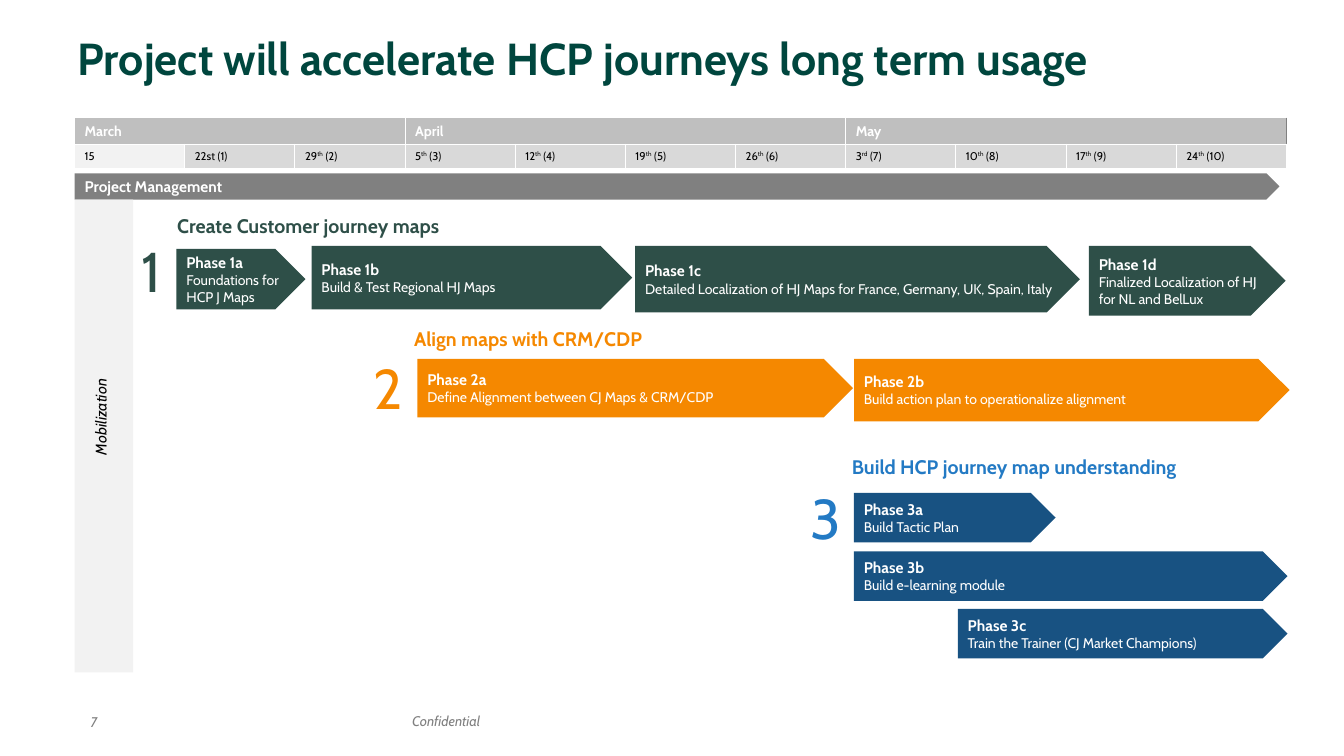
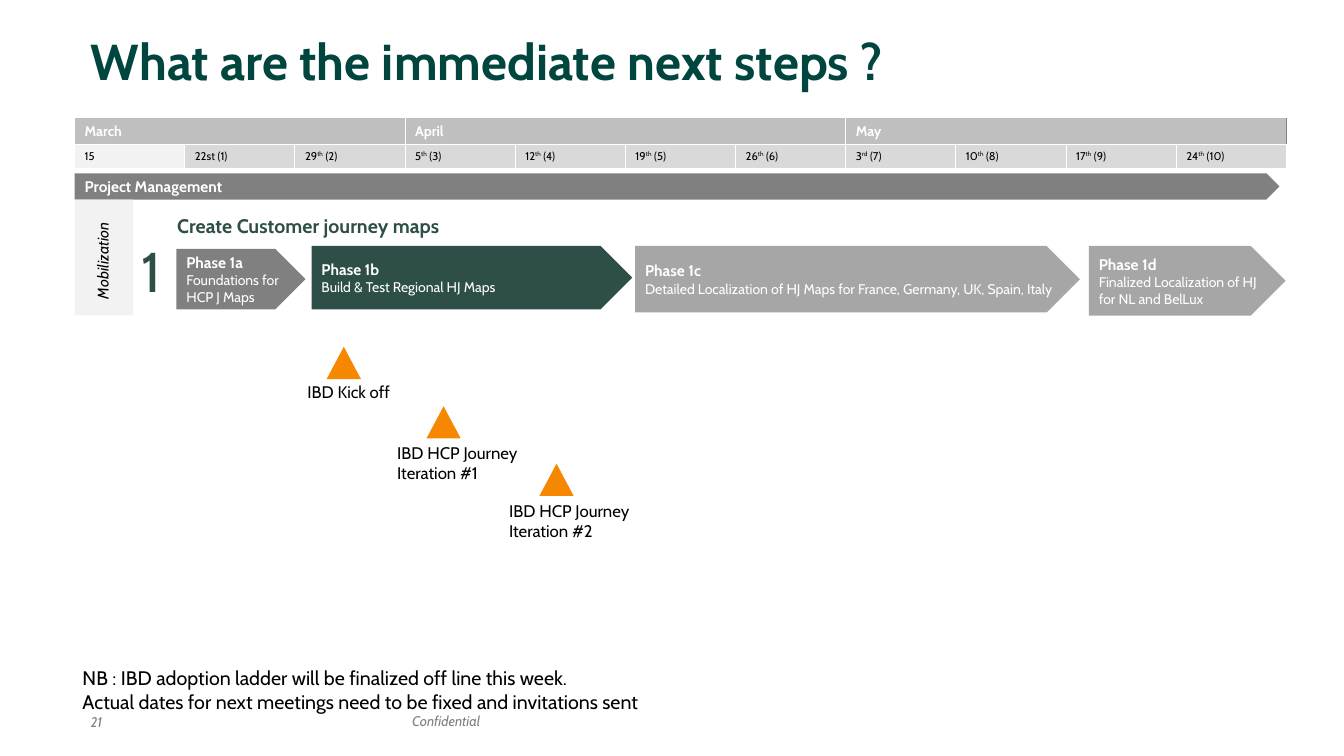
import pptx
import pptx.util
import pptx.dml.color
import pptx.enum.shapes
import pptx.enum.text
import pptx.oxml
import pptx.oxml.ns

# Lengths are px, 100 to the inch
PX = 9144
SLIDE_W, SLIDE_H = 1333, 750
FONT = "Cabin"
COLORS = {
    "title": "00463E", "green": "2E4F48", "orange": "F58800", "blue": "237AC4",
    "navy": "185282", "grey": "808080", "later": "A6A6A6", "month": "BFBFBF",
    "week": "D9D9D9", "pale": "F2F2F2", "white": "FFFFFF", "black": "000000",
}

# Text styles
STYLES = {
    "bar_title": dict(size=11, bold=True, color="white"),
    "bar_text": dict(size=10, color="white"),
    "month": dict(size=10, bold=True, color="white"),
    "week": dict(size=8, color="black"),
    "footer": dict(size=10, italic=True, color="grey"),
    "side": dict(size=11, italic=True, color="black"),
    "milestone": dict(size=12, color="black"),
    "note": dict(size=14, color="black"),
}

# Shared content
MONTHS = [("March", 3), ("April", 4), ("May", 4)]
WEEKS = [
    ("15",), ("22st (1)",), ("29", "th", " (2)"), ("5", "th", " (3)"),
    ("12", "th", " (4)"), ("19", "th", " (5)"), ("26", "th", " (6)"),
    ("3", "rd", " (7)"), ("10", "th", " (8)"), ("17", "th", " (9)"),
    ("24", "th", " (10)"),
]
TABLE_BOX = (74, 117, 1202, 50)
ROW_HEIGHTS = (26, 24)
MANAGEMENT_BOX = (74, 172, 1195, 26)
SIDE_X, SIDE_Y, SIDE_W = 74, 198, 58

# Work streams: bars are (name, text, box)
JOURNEY_MAPS = dict(
    number="1", title="Create Customer journey maps", color="green", fill="green",
    number_at=(131, 230), title_at=(166, 207),
    bars=[
        ("Phase 1a", "Foundations for HCP J Maps", (175, 247, 128, 60)),
        ("Phase 1b", "Build & Test Regional HJ Maps", (309, 244, 318, 63)),
        ("Phase 1c", "Detailed Localization of HJ Maps for France, Germany, UK, Spain, Italy",
         (630, 244, 441, 66)),
        ("Phase 1d", "Finalized Localization of HJ for NL and BelLux", (1080, 244, 195, 69)),
    ])
ALIGNMENT = dict(
    number="2", title="Align maps with CRM/CDP", color="orange", fill="orange",
    number_at=(361, 346), title_at=(401, 319),
    bars=[
        ("Phase 2a", "Define Alignment between CJ Maps & CRM/CDP", (414, 356, 432, 58)),
        ("Phase 2b", "Build action plan to operationalize alignment", (847, 356, 432, 62)),
    ])
UNDERSTANDING = dict(
    number="3", title="Build HCP journey map understanding", color="blue", fill="navy",
    number_at=(794, 475), title_at=(835, 446),
    bars=[
        ("Phase 3a", "Build Tactic Plan", (847, 489, 200, 49)),
        ("Phase 3b", "Build e-learning module", (847, 547, 430, 49)),
        ("Phase 3c", "Train the Trainer (CJ Market Champions)", (950, 604, 327, 49)),
    ])

SLIDES = [
    dict(title="Project will accelerate HCP journeys long term usage", title_size=32,
         title_box=(67, 28, 1252, 142), page="7", side_h=469, side_label=(50, 397),
         streams=[JOURNEY_MAPS, ALIGNMENT, UNDERSTANDING]),
    dict(title="What are the immediate next steps ?", title_size=36,
         title_box=(80, 28, 1182, 142), page="21", side_h=115, side_label=(52, 242),
         streams=[JOURNEY_MAPS],
         fills={"Phase 1a": "grey", "Phase 1c": "later", "Phase 1d": "later"},
         # Milestones: triangle corner, label box, label lines
         milestones=[
             ((324, 344), (295, 374, 108, 30), ["IBD Kick off"]),
             ((423, 403), (384, 434, 148, 50), ["IBD HCP Journey", "Iteration #1"]),
             ((535, 460), (495, 492, 148, 50), ["IBD HCP Journey", "Iteration #2"]),
         ],
         note=["NB : IBD adoption ladder will be finalized off line this week.",
               "Actual dates for next meetings need to be fixed and invitations sent"]),
]

SHAPE = pptx.enum.shapes.MSO_SHAPE
ANCHOR = pptx.enum.text.MSO_ANCHOR
LEFT = pptx.enum.text.PP_ALIGN.LEFT


def rgb(name):
    return pptx.dml.color.RGBColor.from_string(COLORS[name])


def emu(box):
    return [v * PX for v in box]


def add_run(p, text, style):
    r = p.add_run()
    r.text = text
    values = dict(name=FONT, size=pptx.util.Pt(style["size"]),
                  bold=style.get("bold", False), italic=style.get("italic", False))
    for key, value in values.items():
        setattr(r.font, key, value)
    r.font.color.rgb = rgb(style["color"])
    return r


def write(tf, lines, anchor=ANCHOR.TOP, **margins):
    """Fill a text frame with (text, style) lines."""
    tf.word_wrap = True
    tf.vertical_anchor = anchor
    for side, value in margins.items():
        setattr(tf, "margin_" + side, value * PX)
    for i, (text, style) in enumerate(lines):
        p = tf.add_paragraph() if i else tf.paragraphs[0]
        p.alignment = LEFT
        add_run(p, text, style)


def add_text(s, box, lines, style):
    sp = s.shapes.add_textbox(*emu(box))
    write(sp.text_frame, [(line, style) for line in lines])
    return sp


def add_shape(s, kind, box, fill):
    sp = s.shapes.add_shape(kind, *emu(box))
    sp.shadow.inherit = False
    sp.fill.solid()
    sp.fill.fore_color.rgb = rgb(fill)
    sp.line.fill.background()
    return sp


def add_bar(s, box, fill, name, text=None):
    sp = add_shape(s, SHAPE.PENTAGON, box, fill)
    lines = [(name, STYLES["bar_title"])]
    if text:
        lines.append((text, STYLES["bar_text"]))
    write(sp.text_frame, lines, ANCHOR.MIDDLE, left=10, right=5, top=0, bottom=0)


def set_border(cell, side, color, width):
    xml = ('<a:ln%s %s w="%d"><a:solidFill><a:srgbClr val="%s"/></a:solidFill></a:ln%s>'
           % (side, pptx.oxml.ns.nsdecls("a"), pptx.util.Pt(width), COLORS[color], side))
    cell._tc.get_or_add_tcPr().append(pptx.oxml.parse_xml(xml))


def format_cell(cell, fill, right=("white", 0.75)):
    for side in "LRTB":
        set_border(cell, side, *(right if side == "R" else ("white", 0.75)))
    cell.fill.solid()
    cell.fill.fore_color.rgb = rgb(fill)
    cell.vertical_anchor = ANCHOR.MIDDLE
    cell.margin_left = cell.margin_right = 10 * PX
    cell.margin_top = cell.margin_bottom = 3 * PX


def add_calendar(s):
    table = s.shapes.add_table(2, len(WEEKS), *emu(TABLE_BOX)).table
    for column in table.columns:
        column.width = TABLE_BOX[2] * PX // len(WEEKS)
    for row, height in zip(table.rows, ROW_HEIGHTS):
        row.height = height * PX
    start = 0
    for month, span in MONTHS:
        cell = table.cell(0, start)
        cell.merge(table.cell(0, start + span - 1))
        start += span
        format_cell(cell, "month", ("grey", 1) if start == len(WEEKS) else ("white", 0.75))
        add_run(cell.text_frame.paragraphs[0], month, STYLES["month"])
    for i, parts in enumerate(WEEKS):
        cell = table.cell(1, i)
        format_cell(cell, "week" if i else "pale")
        for j, part in enumerate(parts):
            r = add_run(cell.text_frame.paragraphs[0], part, STYLES["week"])
            if j == 1:
                r._r.get_or_add_rPr().set("baseline", "30000")


def add_frame(s, content):
    """Title, footer, calendar, management bar and side band."""
    title = s.shapes.title
    title.left, title.top, title.width, title.height = emu(content["title_box"])
    title.text_frame.auto_size = pptx.enum.text.MSO_AUTO_SIZE.NONE
    style = dict(size=content["title_size"], bold=True, color="title")
    write(title.text_frame, [(content["title"], style)], left=10, top=2, right=10, bottom=0)
    add_text(s, (399, 702, 93, 27), ["Confidential"], STYLES["footer"])
    add_text(s, (80, 703, 41, 27), [content["page"]], STYLES["footer"])
    add_calendar(s)
    add_bar(s, MANAGEMENT_BOX, "grey", "Project Management")
    add_shape(s, SHAPE.RECTANGLE, (SIDE_X, SIDE_Y, SIDE_W, content["side_h"]), "pale")
    label = add_text(s, (*content["side_label"], 100, 29), ["Mobilization"], STYLES["side"])
    label.rotation = 270


def add_stream(s, stream, fills):
    add_text(s, (*stream["title_at"], 484, 34), [stream["title"]],
             dict(size=14, bold=True, color=stream["color"]))
    add_text(s, (*stream["number_at"], 53, 77), [stream["number"]],
             dict(size=40, color=stream["color"]))
    for name, text, box in stream["bars"]:
        add_bar(s, box, fills.get(name, stream["fill"]), name, text)


def main():
    prs = pptx.Presentation()
    prs.slide_width, prs.slide_height = SLIDE_W * PX, SLIDE_H * PX
    for content in SLIDES:
        s = prs.slides.add_slide(prs.slide_layouts[5])
        add_frame(s, content)
        for stream in content["streams"]:
            add_stream(s, stream, content.get("fills", {}))
        for corner, label_box, lines in content.get("milestones", []):
            add_shape(s, SHAPE.ISOSCELES_TRIANGLE, (*corner, 34, 32), "orange")
            add_text(s, label_box, lines, STYLES["milestone"])
        if "note" in content:
            add_text(s, (72, 656, 630, 57), content["note"], STYLES["note"])
    prs.save("out.pptx")


if __name__ == "__main__":
    main()
